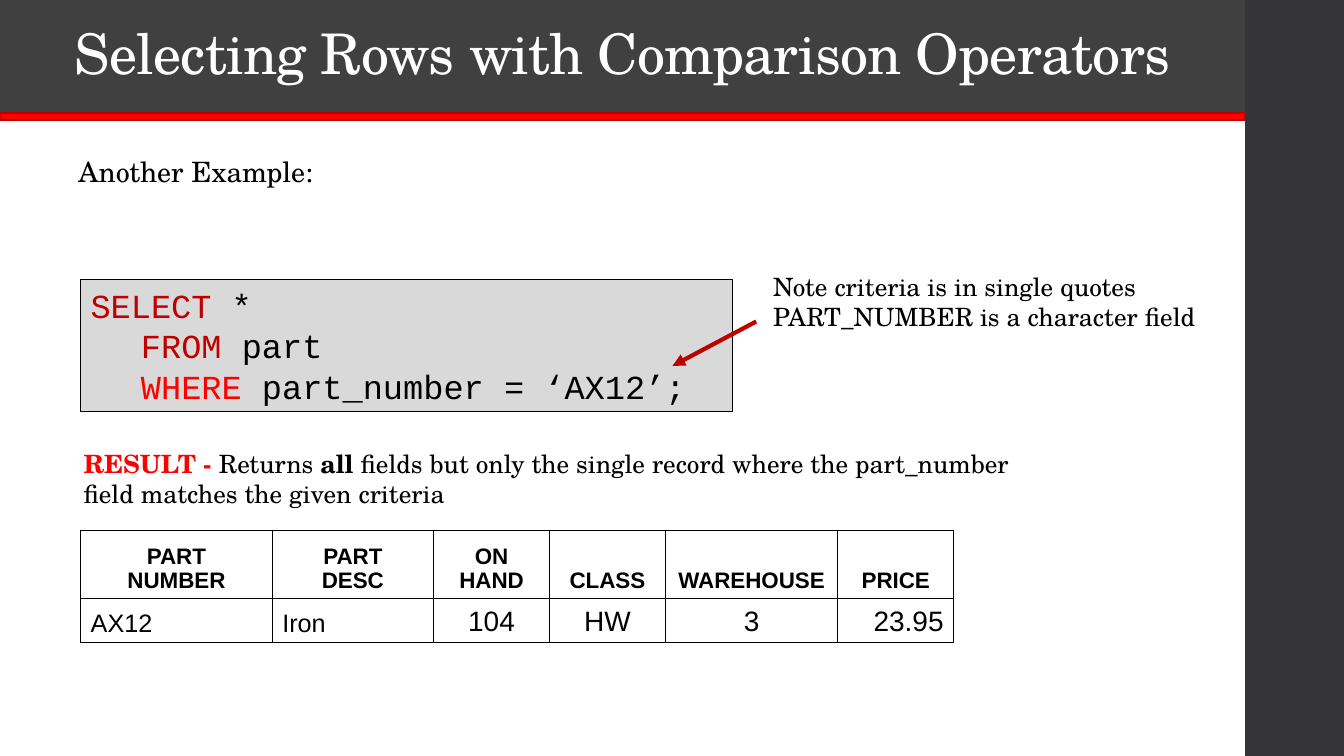
"""Build the slide on selecting rows with comparison operators."""
from dataclasses import dataclass
from typing import Any, NamedTuple

from lxml.etree import SubElement
from pptx import Presentation
from pptx.dml.color import RGBColor as RGB
from pptx.enum.shapes import MSO_CONNECTOR as Connector, MSO_SHAPE as Preset
from pptx.enum.text import MSO_ANCHOR as Anchor, MSO_AUTO_SIZE as AutoSize, PP_ALIGN as Align
from pptx.oxml.ns import qn
from pptx.shapes.autoshape import Shape
from pptx.slide import Slide
from pptx.table import _Cell as Cell
from pptx.text.text import TextFrame, _Paragraph as Paragraph, _Run as Run
from pptx.util import Emu, Pt

PX_PER_INCH = 100
SCALE = 914400 // PX_PER_INCH


@dataclass(frozen=True)
class Theme:
    """Colours, fonts and type sizes of the slide."""
    ink: str = "000000"
    paper: str = "FFFFFF"
    header: str = "404040"
    sidebar: str = "353537"
    rule: str = "FF0000"
    rule_edge: str = "BD0000"
    code_fill: str = "D9D9D9"
    keyword: str = "C00000"
    accent: str = "FF0000"
    serif: str = "TeX Gyre Schola"
    mono: str = "Courier New"
    sans: str = "Arial"
    title: int = 40
    code: int = 24
    lead: int = 20
    note: int = 18
    heading: int = 16


THEME = Theme()


class Box(NamedTuple):
    """Left, top, width and height in px."""
    left: int
    top: int
    width: int
    height: int


class Span(NamedTuple):
    """A stretch of text in one colour and weight."""
    text: str
    color: str = THEME.ink
    bold: bool = False


class Line(NamedTuple):
    """One paragraph with its left indent in px."""
    spans: list[Span]
    indent: int = 0


class Panel(NamedTuple):
    """A filled rectangle with an optional edge."""
    box: Box
    fill: str
    edge: str | None = None
    edge_width: float = 0


class Passage(NamedTuple):
    """A text box of lines in one size."""
    box: Box
    lines: list[Line]
    size: int


class Column(NamedTuple):
    """A result column with its heading and value."""
    width: int
    heading: str
    value: str
    size: int = THEME.lead
    align: Align = Align.CENTER


SLIDE_SIZE = (1333, 750)
TITLE_BOX = Box(0, 0, 1235, 112)
RULE = Panel(Box(0, 112, 1235, 7), THEME.rule, THEME.rule_edge, 1.1)
SIDEBAR = Panel(Box(1235, 0, 100, 750), THEME.sidebar)
QUERY = Panel(Box(80, 277, 647, 131), THEME.code_fill, THEME.ink, 0.75)
QUERY_LINES = [
    Line([Span("SELECT", THEME.keyword), Span(" *")]),
    Line([Span("FROM", THEME.keyword), Span(" part")], 50),
    Line([Span("WHERE ", THEME.accent), Span("part_number = ‘AX12’;")], 50),
]
PASSAGES = [
    Passage(Box(68, 148, 638, 44), [Line([Span("Another Example:")])], THEME.lead),
    Passage(Box(757, 264, 462, 70), [
        Line([Span("Note criteria is in single quotes")]),
        Line([Span("PART_NUMBER is a character field")]),
    ], THEME.note),
    Passage(Box(73, 440, 1139, 71), [
        Line([Span("RESULT - ", THEME.accent, True), Span("Returns "), Span("all", bold=True),
              Span(" fields but only the single record where the part_number")]),
        Line([Span("field matches the given criteria")]),
    ], THEME.note),
]
ARROW = (750, 319, 667, 363)
RESULT_ORIGIN = (80, 526)
RESULT_ROWS = (68, 43)
RESULT_COLUMNS = [
    Column(190, "PART\nNUMBER", "AX12", THEME.note, Align.LEFT),
    Column(160, "PART\nDESC", "Iron", THEME.note, Align.LEFT),
    Column(115, "ON\nHAND", "104"),
    Column(115, "CLASS", "HW"),
    Column(171, "WAREHOUSE", "3"),
    Column(115, "PRICE", "23.95", align=Align.RIGHT),
]


def px(length: int) -> Emu:
    """Turn px into EMU."""
    return Emu(length * SCALE)


def assign(target: Any, values: dict[str, Any]) -> None:
    """Set each named attribute of the target."""
    for name, value in values.items():
        setattr(target, name, value)


def style_run(run: Run, font: str, size: int, color: str, bold: bool = False) -> None:
    """Give a run its font, size, weight and colour."""
    assign(run.font, {"name": font, "size": Pt(size), "bold": bold})
    run.font.color.rgb = RGB.from_string(color)


def write_lines(frame: TextFrame, lines: list[Line], font: str, size: int) -> None:
    """Write the lines into a text frame."""
    for index, line in enumerate(lines):
        paragraph = frame.add_paragraph() if index else frame.paragraphs[0]
        paragraph.alignment = Align.LEFT
        if line.indent:
            paragraph._p.get_or_add_pPr().set("marL", str(px(line.indent)))
        for span in line.spans:
            run = paragraph.add_run()
            run.text = span.text
            style_run(run, font, size, span.color, span.bold)


def draw_panel(slide: Slide, panel: Panel) -> Shape:
    """Draw a filled rectangle."""
    rectangle = slide.shapes.add_shape(Preset.RECTANGLE, *map(px, panel.box))
    rectangle.shadow.inherit = False
    rectangle.fill.solid()
    rectangle.fill.fore_color.rgb = RGB.from_string(panel.fill)
    if panel.edge:
        rectangle.line.color.rgb = RGB.from_string(panel.edge)
        rectangle.line.width = Pt(panel.edge_width)
    else:
        rectangle.line.fill.background()
    return rectangle


def draw_title(slide: Slide) -> None:
    """Place and format the title band."""
    title = slide.shapes.title
    assign(title, dict(zip(Box._fields, map(px, TITLE_BOX))))
    title.fill.solid()
    title.fill.fore_color.rgb = RGB.from_string(THEME.header)
    title.text_frame.text = "Selecting Rows with Comparison Operators"
    assign(title.text_frame, {"vertical_anchor": Anchor.MIDDLE, "auto_size": AutoSize.NONE,
                              "word_wrap": True})
    heading: Paragraph = title.text_frame.paragraphs[0]
    assign(heading, {"alignment": Align.CENTER, "line_spacing": 0.9})
    style_run(heading.runs[0], THEME.serif, THEME.title, THEME.paper)
    heading.runs[0]._r.get_or_add_rPr().set("spc", "-50")


def draw_query(slide: Slide) -> None:
    """Draw the SQL query panel."""
    frame = draw_panel(slide, QUERY).text_frame
    assign(frame, {"word_wrap": True, "vertical_anchor": Anchor.MIDDLE})
    write_lines(frame, QUERY_LINES, THEME.mono, THEME.code)
    for paragraph in frame.paragraphs:
        paragraph.line_spacing = Pt(28.8)


def draw_passage(slide: Slide, passage: Passage) -> None:
    """Draw a wrapped text box."""
    frame = slide.shapes.add_textbox(*map(px, passage.box)).text_frame
    frame.word_wrap = True
    write_lines(frame, passage.lines, THEME.serif, passage.size)


def draw_arrow(slide: Slide) -> None:
    """Point from the note to the quoted value."""
    arrow = slide.shapes.add_connector(Connector.STRAIGHT, *map(px, ARROW))
    arrow.line.color.rgb = RGB.from_string(THEME.keyword)
    arrow.line.width = Pt(3)
    SubElement(arrow.line._get_or_add_ln(), qn("a:tailEnd"), type="triangle")
    SubElement(arrow._element.spPr, qn("a:effectLst"))


def fill_cell(cell: Cell, text: str, size: int, align: Align, bold: bool) -> None:
    """Write one cell and draw its borders."""
    cell.vertical_anchor = Anchor.BOTTOM
    paragraph = cell.text_frame.paragraphs[0]
    assign(paragraph, {"text": text, "alignment": align})
    for run in paragraph.runs:
        style_run(run, THEME.sans, size, THEME.ink, bold)
    properties = cell._tc.get_or_add_tcPr()
    for side in ("lnL", "lnR", "lnT", "lnB"):
        border = SubElement(properties, qn(f"a:{side}"), w=str(Pt(1)))
        SubElement(SubElement(border, qn("a:solidFill")), qn("a:srgbClr"), val=THEME.ink)
    cell.fill.background()


def draw_result(slide: Slide) -> None:
    """Draw the table of the returned record."""
    size = (sum(column.width for column in RESULT_COLUMNS), sum(RESULT_ROWS))
    table = slide.shapes.add_table(len(RESULT_ROWS), len(RESULT_COLUMNS),
                                   *map(px, RESULT_ORIGIN + size)).table
    assign(table, {"first_row": False, "horz_banding": False})
    for row, height in zip(table.rows, RESULT_ROWS):
        row.height = px(height)
    for index, column in enumerate(RESULT_COLUMNS):
        table.columns[index].width = px(column.width)
        fill_cell(table.cell(0, index), column.heading, THEME.heading, Align.CENTER, True)
        fill_cell(table.cell(1, index), column.value, column.size, column.align, False)


def main() -> None:
    """Assemble and save the slide."""
    deck = Presentation()
    assign(deck, dict(zip(("slide_width", "slide_height"), map(px, SLIDE_SIZE))))
    slide = deck.slides.add_slide(deck.slide_layouts.get_by_name("Title Only"))
    for panel in (SIDEBAR, RULE):
        draw_panel(slide, panel)
    draw_title(slide)
    draw_query(slide)
    for passage in PASSAGES:
        draw_passage(slide, passage)
    draw_arrow(slide)
    draw_result(slide)
    deck.save("out.pptx")


if __name__ == "__main__":
    main()
